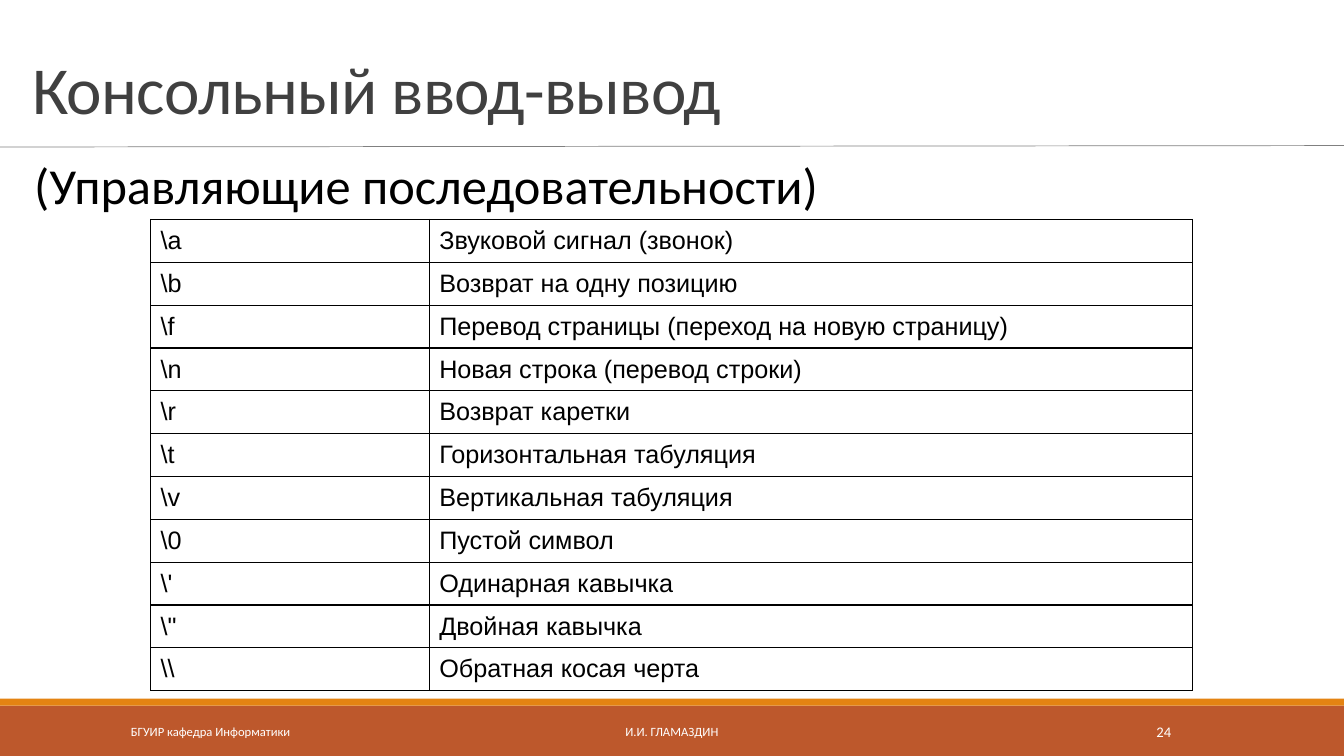
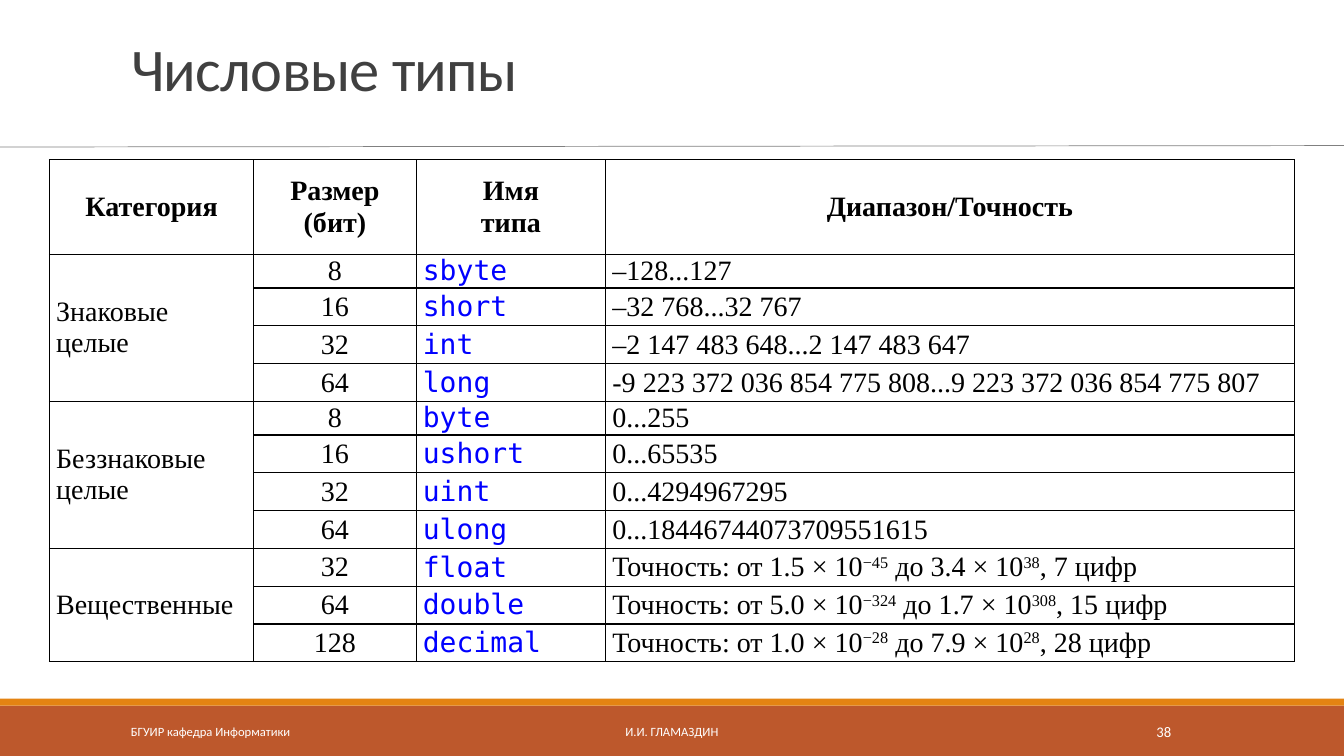
from dataclasses import dataclass

from lxml import etree
from pptx import Presentation
from pptx.dml.color import RGBColor
from pptx.enum import shapes, text
from pptx.oxml import ns
from pptx.util import Pt

LEFT, CENTER, JUSTIFY = (text.PP_ALIGN.LEFT, text.PP_ALIGN.CENTER,
                         text.PP_ALIGN.JUSTIFY)
TOP, MIDDLE, BOTTOM = (text.MSO_ANCHOR.TOP, text.MSO_ANCHOR.MIDDLE,
                       text.MSO_ANCHOR.BOTTOM)


@dataclass(frozen=True)
class Theme:
    # Colours
    band: str = "BD582C"
    stripe: str = "E48312"
    rule: str = "808080"
    title: str = "404040"
    ink: str = "000000"
    keyword: str = "0000FF"
    light: str = "FFFFFF"
    # Fonts
    main: str = "Calibri"
    plain: str = "Arial"
    serif: str = "Times New Roman"
    mono: str = "DejaVu Sans Mono"
    # Type sizes
    title_size: float = 48
    small_title_size: float = 43.2
    subtitle_size: float = 36
    types_size: float = 20
    escapes_size: float = 18
    number_size: float = 10.5
    footer_size: float = 9


THEME = Theme()
WIDTH, HEIGHT = 960, 540

ESCAPES = [
    (r"\a", "Звуковой сигнал (звонок)"),
    (r"\b", "Возврат на одну позицию"),
    (r"\f", "Перевод страницы (переход на новую страницу)"),
    (r"\n", "Новая строка (перевод строки)"),
    (r"\r", "Возврат каретки"),
    (r"\t", "Горизонтальная табуляция"),
    (r"\v", "Вертикальная табуляция"),
    (r"\0", "Пустой символ"),
    (r"\'", "Одинарная кавычка"),
    (r'\"', "Двойная кавычка"),
    ("\\\\", "Обратная косая черта"),
]

TYPE_HEADS = ["Категория", "Размер\n(бит)", "Имя\nтипа", "Диапазон/Точность"]
# Text between carets is superscript
TYPE_GROUPS = [
    ("Знаковые\nцелые", [
        ("8", "sbyte", "–128...127"),
        ("16", "short", "–32 768...32 767"),
        ("32", "int", "–2 147 483 648...2 147 483 647"),
        ("64", "long",
         "-9 223 372 036 854 775 808...9 223 372 036 854 775 807"),
    ]),
    ("Беззнаковые целые", [
        ("8", "byte", "0...255"),
        ("16", "ushort", "0...65535"),
        ("32", "uint", "0...4294967295"),
        ("64", "ulong", "0...18446744073709551615"),
    ]),
    ("Вещественные", [
        ("32", "float", "Точность: от 1.5 × 10^−45^ до 3.4 × 10^38^, 7 цифр"),
        ("64", "double",
         "Точность: от 5.0 × 10^−324^ до 1.7 × 10^308^, 15 цифр"),
        ("128", "decimal",
         "Точность: от 1.0 × 10^−28^ до 7.9 × 10^28^, 28 цифр"),
    ]),
]


def color(code):
    return RGBColor.from_string(code)


# Text
def write(frame, content, size, font=THEME.main, ink=THEME.ink, bold=False,
          align=LEFT, line_spacing=None, tracking=None):
    """Fill a text frame: one paragraph a line, superscript between carets."""
    for index, line in enumerate(content.split("\n")):
        para = frame.add_paragraph() if index else frame.paragraphs[0]
        para.alignment = align
        if line_spacing:
            para.line_spacing = line_spacing
        for part, piece in enumerate(line.split("^")):
            span = para.add_run()
            span.text = piece
            span.font.size = Pt(size)
            span.font.name = font
            span.font.bold = bold
            span.font.color.rgb = color(ink)
            properties = span.font._element
            if part % 2:
                properties.set("baseline", "30000")
            if tracking is not None:
                properties.set("spc", str(round(tracking * 100)))


def add_text(page, area, content, size, anchor=MIDDLE, inset=(7.2, 3.6),
             **style):
    box = page.shapes.add_textbox(*map(Pt, area))
    frame = box.text_frame
    frame.word_wrap = True
    frame.vertical_anchor = anchor
    frame.margin_left = frame.margin_right = Pt(inset[0])
    frame.margin_top = frame.margin_bottom = Pt(inset[1])
    write(frame, content, size, **style)


def set_title(page, area, content, size):
    box = page.shapes.title
    box.left, box.top, box.width, box.height = map(Pt, area)
    frame = box.text_frame
    frame.auto_size = text.MSO_AUTO_SIZE.NONE
    frame.vertical_anchor = BOTTOM
    write(frame, content, size, ink=THEME.title, line_spacing=0.85,
          tracking=-0.5)


# Shared frame of a slide
def add_band(page, top, height, fill):
    band = page.shapes.add_shape(shapes.MSO_SHAPE.RECTANGLE, 0, Pt(top),
                                 Pt(WIDTH), Pt(height))
    band.shadow.inherit = False
    band.fill.solid()
    band.fill.fore_color.rgb = color(fill)
    band.line.fill.background()


def add_rule(page, start, end):
    rule = page.shapes.add_connector(shapes.MSO_CONNECTOR.STRAIGHT,
                                     *map(Pt, start + end))
    rule.line.color.rgb = color(THEME.rule)
    rule.line.width = Pt(0.5)
    etree.SubElement(rule._element.spPr, ns.qn("a:effectLst"))


def add_page(deck, number):
    page = deck.slides.add_slide(deck.slide_layouts[5])
    add_band(page, 504, 36, THEME.band)
    add_band(page, 499, 5, THEME.stripe)
    add_rule(page, (0, 105), (WIDTH, 104))
    footers = [
        (86.4, 194.4, "БГУИР кафедра Информатики", THEME.footer_size, LEFT),
        (290.2, 379.4, "И.И. ГЛАМАЗДИН", THEME.footer_size, CENTER),
        (779.8, 103, str(number), THEME.number_size, CENTER),
    ]
    for left, width, content, size, align in footers:
        add_text(page, (left, 508.3, width, 28.8), content, size,
                 ink=THEME.light, align=align)
    return page


# Tables
def outline_cell(cell):
    properties = cell._tc.get_or_add_tcPr()
    for side in ("lnL", "lnR", "lnT", "lnB"):
        edge = etree.SubElement(properties, ns.qn(f"a:{side}"),
                                w=str(Pt(1)))
        fill = etree.SubElement(edge, ns.qn("a:solidFill"))
        etree.SubElement(fill, ns.qn("a:srgbClr"), val=THEME.ink)


def add_grid(page, left, top, widths, heights, inset):
    holder = page.shapes.add_table(len(heights), len(widths), Pt(left),
                                   Pt(top), Pt(sum(widths)), Pt(sum(heights)))
    table = holder.table
    table.first_row = table.horz_banding = False
    for column, width in zip(table.columns, widths):
        column.width = Pt(width)
    for row, height in zip(table.rows, heights):
        row.height = Pt(height)
    for cell in table.iter_cells():
        outline_cell(cell)
        cell.fill.background()
        cell.vertical_anchor = MIDDLE
        cell.margin_left = cell.margin_right = Pt(inset[0])
        cell.margin_top = cell.margin_bottom = Pt(inset[1])
    return table


# Slides
def build_escapes(deck):
    page = add_page(deck, 24)
    set_title(page, (15.8, 22.3, 928, 72.7), "Консольный ввод-вывод",
              THEME.title_size)
    add_text(page, (24.5, 111.6, 919, 44), "(Управляющие последовательности)",
             THEME.subtitle_size, anchor=TOP, inset=(0, 3.6), align=JUSTIFY,
             line_spacing=0.9)
    table = add_grid(page, 107.6, 156.8, [199, 545], [29.8] * len(ESCAPES),
                     (7.2, 4.5))
    for row, contents in enumerate(ESCAPES):
        for column, content in enumerate(contents):
            write(table.cell(row, column).text_frame, content,
                  THEME.escapes_size, font=THEME.plain)


def build_types(deck):
    page = add_page(deck, 38)
    set_title(page, (86.4, 22.3, 792, 55.4), "Числовые типы",
              THEME.small_title_size)
    entries = [entry for _, group in TYPE_GROUPS for entry in group]
    heights = [67.7] + [23 if bits == "8" else 27 for bits, *_ in entries]
    table = add_grid(page, 35.3, 114, [146, 116, 135.4, 491.8], heights,
                     (4.8, 0))

    def put(row, column, content, **style):
        write(table.cell(row, column).text_frame, content, THEME.types_size,
              **{"font": THEME.serif, "align": JUSTIFY, **style})

    for column, head in enumerate(TYPE_HEADS):
        put(0, column, head, bold=True, align=CENTER)
    row = 1
    for category, group in TYPE_GROUPS:
        table.cell(row, 0).merge(table.cell(row + len(group) - 1, 0))
        put(row, 0, category)
        for bits, name, span in group:
            put(row, 1, bits, align=CENTER)
            put(row, 2, name, font=THEME.mono, ink=THEME.keyword)
            put(row, 3, span)
            row += 1


def main():
    deck = Presentation()
    deck.slide_width, deck.slide_height = Pt(WIDTH), Pt(HEIGHT)
    build_escapes(deck)
    build_types(deck)
    deck.save("out.pptx")


if __name__ == "__main__":
    main()
